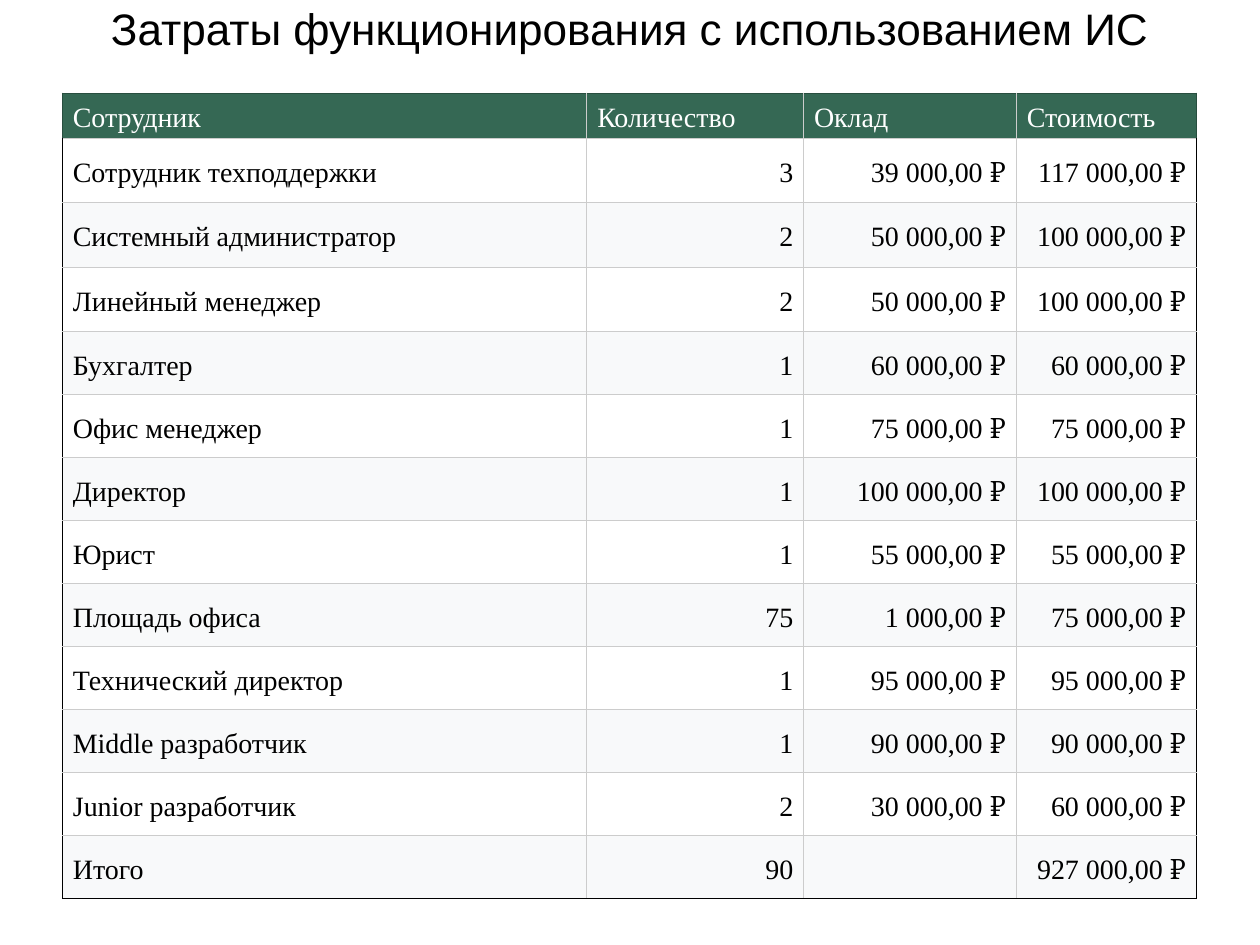
"""Build a slide with a table of staff costs."""
from dataclasses import dataclass

from lxml.etree import SubElement as Sub
from pptx import Presentation as Deck
from pptx.dml.color import RGBColor as Rgb
from pptx.enum.text import MSO_ANCHOR as Anchor, MSO_AUTO_SIZE as Fit, PP_ALIGN as Align
from pptx.oxml.ns import qn
from pptx.util import Cm, Pt

GREEN, DARK, GRID = "356854", "284E3F", "CCCCCC"
BLACK, WHITE, PALE = "000000", "FFFFFF", "F8F9FA"
HEADS = ["Сотрудник", "Количество", "Оклад", "Стоимость"]
WIDTHS = [10.57, 4.37, 4.29, 3.63]
HEIGHTS = [0.91] + [1.3] * 3 + [1.27] * 9
PAD = {"margin_left": Cm(0.21), "margin_right": Cm(0.21),
       "margin_top": Cm(0.09), "margin_bottom": Cm(0.09),
       "vertical_anchor": Anchor.MIDDLE}


@dataclass
class Item:
    """One line of costs."""
    name: str
    count: int
    pay: int

    @property
    def cost(self) -> int:
        """Return the pay for the whole count."""
        return self.count * self.pay


ITEMS = [
    Item("Сотрудник техподдержки", 3, 39000),
    Item("Системный администратор", 2, 50000),
    Item("Линейный менеджер", 2, 50000),
    Item("Бухгалтер", 1, 60000),
    Item("Офис менеджер", 1, 75000),
    Item("Директор", 1, 100000),
    Item("Юрист", 1, 55000),
    Item("Площадь офиса", 75, 1000),
    Item("Технический директор", 1, 95000),
    Item("Middle разработчик", 1, 90000),
    Item("Junior разработчик", 2, 30000),
]


def apply(target, values: dict) -> None:
    """Set attributes from a dict."""
    for key, value in values.items():
        setattr(target, key, value)


def tint(hue: str) -> Rgb:
    """Turn a hex string into a colour."""
    return Rgb.from_string(hue)


def money(value: int) -> str:
    """Format a sum in roubles."""
    return f"{value:,}".replace(",", " ") + ",00 ₽"


def write(para, text: str, face: str, size: float, hue: str) -> None:
    """Add one styled run to a paragraph."""
    run = para.add_run()
    run.text = text
    apply(run.font, {"name": face, "size": Pt(size), "bold": False})
    run.font.color.rgb = tint(hue)


def edge(cell, sides: dict[str, str]) -> None:
    """Draw the cell borders ahead of its fill."""
    props = cell._tc.get_or_add_tcPr()
    for spot, (side, hue) in enumerate(sides.items()):
        line = Sub(props, qn(f"a:ln{side}"), w=str(Pt(0.75)))
        Sub(Sub(line, qn("a:solidFill")), qn("a:srgbClr"), val=hue)
        props.insert(spot, line)


def draw(table, rows: list[list[str]]) -> None:
    """Fill and style every cell of the table."""
    end, last = len(rows) - 1, len(HEADS) - 1
    for r, row in enumerate(rows):
        rim = BLACK if r else DARK
        back = (PALE, WHITE)[r % 2] if r else GREEN
        for c, text in enumerate(row):
            cell = table.cell(r, c)
            apply(cell, PAD)
            cell.fill.solid()
            cell.fill.fore_color.rgb = tint(back)
            edge(cell, {"L": GRID if c else rim,
                        "R": rim if c == last else GRID,
                        "T": GRID if r else rim,
                        "B": rim if r == end else GRID})
            para = cell.text_frame.paragraphs[0]
            apply(para, {"line_spacing": 1.15,
                         "alignment": Align.RIGHT if r and c else Align.LEFT})
            if text:
                write(para, text, "Times New Roman", 16, BLACK if r else WHITE)


def main() -> None:
    """Make the slide and save it."""
    deck = Deck()
    apply(deck, {"slide_width": Cm(25.4), "slide_height": Cm(19.05)})
    slide = deck.slides.add_slide(deck.slide_layouts[5])

    title = slide.shapes.title
    apply(title, {"left": Cm(0.86), "top": Cm(-0.23),
                  "width": Cm(23.67), "height": Cm(2.11)})
    frame = title.text_frame
    sides = ("left", "right", "top", "bottom")
    apply(frame, {f"margin_{side}": Cm(0.25) for side in sides})
    apply(frame, {"auto_size": Fit.NONE, "word_wrap": True,
                  "vertical_anchor": Anchor.TOP})
    para = frame.paragraphs[0]
    para.alignment = Align.CENTER
    write(para, "Затраты функционирования с использованием ИС", "Arial", 25.2, BLACK)

    body = [[i.name, str(i.count), money(i.pay), money(i.cost)] for i in ITEMS]
    total = ["Итого", str(sum(i.count for i in ITEMS)), "",
             money(sum(i.cost for i in ITEMS))]
    rows = [HEADS, *body, total]
    table = slide.shapes.add_table(len(rows), len(HEADS), Cm(1.26), Cm(1.88),
                                   Cm(sum(WIDTHS)), Cm(sum(HEIGHTS))).table
    apply(table, {"first_row": False, "horz_banding": False})
    for col, width in zip(table.columns, WIDTHS):
        col.width = Cm(width)
    for row, height in zip(table.rows, HEIGHTS):
        row.height = Cm(height)
    draw(table, rows)
    deck.save("out.pptx")


if __name__ == "__main__":
    main()
